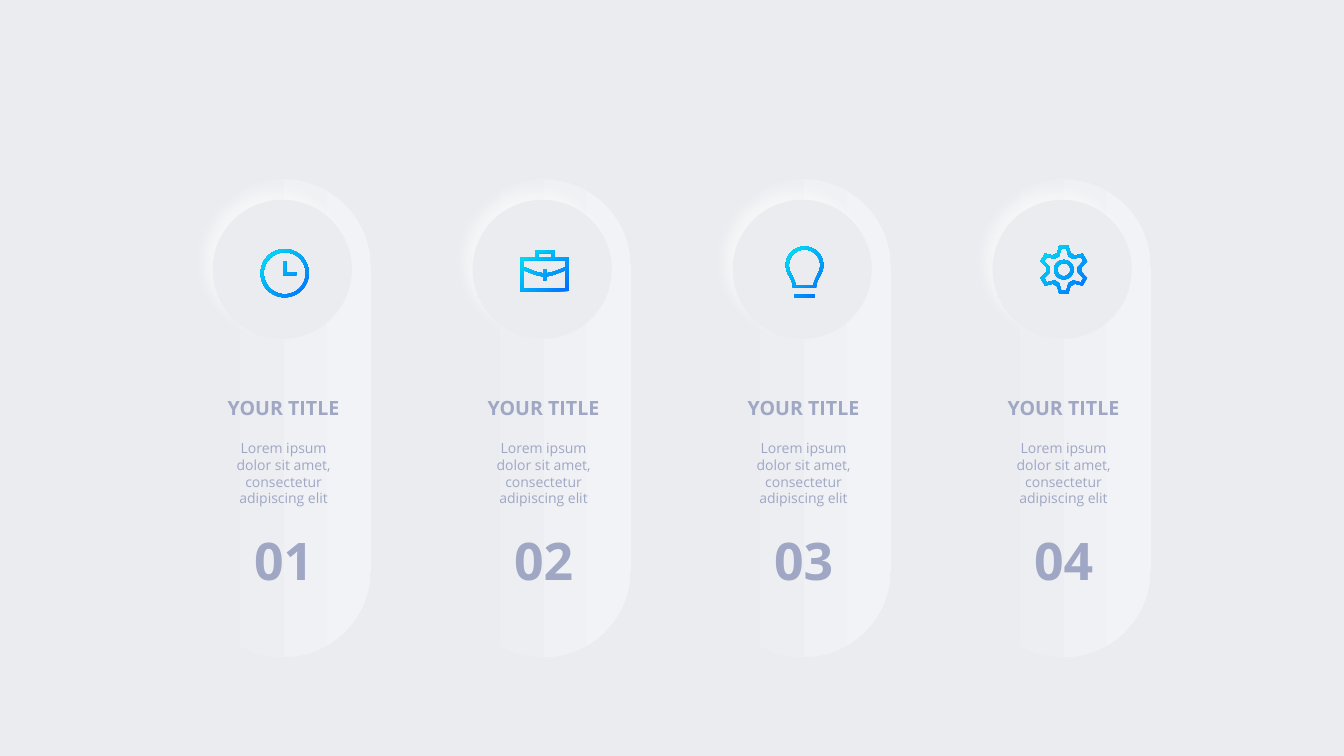
from dataclasses import dataclass
from math import cos, radians, sin

from lxml.etree import SubElement
from pptx import Presentation
from pptx.dml.color import RGBColor
from pptx.enum.shapes import MSO_SHAPE as Preset
from pptx.enum.text import MSO_AUTO_SIZE as AutoSize, PP_ALIGN as Align
from pptx.oxml.ns import qn
from pptx.util import Pt

Point = tuple[float, float]
Contour = list[Point]

# Colours
GREY = RGBColor(0xEB, 0xEC, 0xF0)
LIGHT = RGBColor(0xF2, 0xF3, 0xF6)
LAVENDER = RGBColor(0x9F, 0xA7, 0xC4)
BLUE = RGBColor(0x00, 0x6E, 0xFF)
CYAN = RGBColor(0x00, 0xE6, 0xF2)
WHITE = RGBColor(0xFF, 0xFF, 0xFF)

# Layout in points
FIRST_CENTER, PITCH = 201.6, 185.7
DISC_MIDDLE, DISC_SIZE = 192.4, 99.4
PILL_TOP, PILL_WIDTH, PILL_HEIGHT = 128.2, 124.6, 341.2
PILL_SHIFT = 1  # pill and texts sit this far right of the disc centre
GLOW = 9
STROKE = 2.2  # line thickness of the icons


@dataclass
class Column:
    number: str
    icon: list[Contour]
    icon_shift: Point  # icon centre from the disc centre
    title: str = "YOUR TITLE"
    body: str = "Lorem ipsum dolor sit amet, consectetur adipiscing elit"


# Outline rules: x and y run from the icon centre, y downwards
def arc(radius: float, start: int = 0, end: int = 360, middle: float = 0) -> Contour:
    return [(radius * cos(radians(angle)), middle + radius * sin(radians(angle)))
            for angle in range(start, end + 1, 6)]


def ring(radius: float) -> list[Contour]:
    return [arc(radius), arc(radius - STROKE)]


def mirrored(right_half: Contour) -> Contour:
    """Close a right half, listed from top to bottom, with its reflection."""
    return right_half + [(-x, y) for x, y in reversed(right_half)]


def toothed(right_flank: Contour) -> Contour:
    """Turn one tooth, given by its right flank, around the centre six times."""
    tooth = [(-x, y) for x, y in reversed(right_flank)] + right_flank
    turns = [radians(60 * step) for step in range(6)]
    return [(x * cos(turn) - y * sin(turn), x * sin(turn) + y * cos(turn))
            for turn in turns for x, y in tooth]


def bulb_glass(radius: float, right_neck: Contour) -> Contour:
    """A round top that narrows to a neck."""
    right_side = arc(radius, -90, 33, middle=-4.7) + right_neck
    return mirrored(right_side)


# Clock: a ring and two hands
HANDS = [(8.3, 1.4), (-1.1, 1.4), (-1.1, -8.6), (1.1, -8.6), (1.1, -0.8), (8.3, -0.8)]
CLOCK = ring(17.2) + [HANDS]

# Briefcase: the space between the two panels forms the flap and its clasp
FLAP_TOP = [(14.8, -2.5), (6.8, 0.6), (4, 1.4), (1.1, 1.8)]
FLAP_BOTTOM = [(x, y + STROKE) for x, y in FLAP_TOP]
CASE = mirrored([(6.9, -14.8), (6.9, -9.7), (17.3, -9.7), (17.3, 14.8)])
HANDLE_HOLE = mirrored([(4.7, -12.6), (4.7, -9.7)])
UPPER_PANEL = mirrored([(14.8, -7.6), *FLAP_TOP, (1.1, -1.1)])
LOWER_PANEL = mirrored([(1.1, 6.8), *reversed(FLAP_BOTTOM), (14.8, 12.6)])
BRIEFCASE = [CASE, HANDLE_HOLE, UPPER_PANEL, LOWER_PANEL]

# Bulb: outer glass, inner glass and a base
BULB_BASE = mirrored([(7.4, 16.2), (7.4, 16.2 + STROKE)])
BULB = [
    bulb_glass(13.4, [(9.1, 6.8), (8.3, 10), (8.3, 11.2)]),
    bulb_glass(13.4 - STROKE, [(7.5, 5.8), (6.1, 9.7)]),
    BULB_BASE,
]

# Gear: outer teeth, inner teeth and a hub
GEAR = [
    toothed([(3.2, -17.3), (4.7, -11.9)]),
    toothed([(1.8, -15.1), (3.4, -9.6)]),
    *ring(6.9),
]

COLUMNS = [
    Column("01", CLOCK, (1.8, 2.8)),
    Column("02", BRIEFCASE, (1.8, 1)),
    Column("03", BULB, (1.7, 1.8)),
    Column("04", GEAR, (1.2, 0.2)),
]


# Drawing
def paint_gradient(shape, start: RGBColor, end: RGBColor, angle: float) -> None:
    shape.shadow.inherit = False
    shape.line.fill.background()
    shape.fill.gradient()
    shape.fill.gradient_angle = angle
    for stop, position, color in zip(shape.fill.gradient_stops, (0, 1), (start, end)):
        stop.position = position
        stop.color.rgb = color


def add_pill(slide, center: float) -> None:
    pill = slide.shapes.add_shape(
        Preset.ROUNDED_RECTANGLE, Pt(center - PILL_WIDTH / 2), Pt(PILL_TOP),
        Pt(PILL_WIDTH), Pt(PILL_HEIGHT))
    pill.adjustments[0] = 0.5
    paint_gradient(pill, LIGHT, GREY, 180)


def add_disc(slide, center: float) -> None:
    radius = DISC_SIZE / 2
    disc = slide.shapes.add_shape(
        Preset.OVAL, Pt(center - radius), Pt(DISC_MIDDLE - radius),
        Pt(DISC_SIZE), Pt(DISC_SIZE))
    disc.fill.solid()
    disc.fill.fore_color.rgb = GREY
    disc.line.fill.background()
    # White glow towards the top left
    disc.shadow.inherit = False
    effects = disc.element.spPr.find(qn("a:effectLst"))
    glow = SubElement(effects, qn("a:outerShdw"), blurRad=str(Pt(GLOW)), dist=str(Pt(GLOW)),
                      dir=str(225 * 60000), algn="ctr", rotWithShape="0")
    glow_color = SubElement(glow, qn("a:srgbClr"), val=str(WHITE))
    SubElement(glow_color, qn("a:alpha"), val="56000")


def add_icon(slide, contours: list[Contour], center: float, middle: float) -> None:
    first, *others = [[(Pt(center + x), Pt(middle + y)) for x, y in contour]
                      for contour in contours]
    outline = slide.shapes.build_freeform(*first[0], scale=1)
    outline.add_line_segments(first[1:], close=True)
    for contour in others:
        outline.move_to(*contour[0])
        outline.add_line_segments(contour[1:], close=True)
    paint_gradient(outline.convert_to_shape(), BLUE, CYAN, 135)


def add_text(slide, text: str, *, center: float, top: float, width: float, height: float,
             size: float, bold: bool = False, wrap: bool = False,
             inset: Point = (0, 0)) -> None:
    box = slide.shapes.add_textbox(Pt(center - width / 2), Pt(top), Pt(width), Pt(height))
    frame = box.text_frame
    frame.word_wrap = wrap
    frame.auto_size = AutoSize.SHAPE_TO_FIT_TEXT
    frame.margin_left = frame.margin_right = Pt(inset[0])
    frame.margin_top = frame.margin_bottom = Pt(inset[1])
    paragraph = frame.paragraphs[0]
    paragraph.alignment = Align.CENTER
    run = paragraph.add_run()
    run.text = text
    run.font.name = "Open Sans"
    run.font.size = Pt(size)
    run.font.bold = bold
    run.font.color.rgb = LAVENDER


def add_column(slide, column: Column, disc_center: float) -> None:
    pill_center = disc_center + PILL_SHIFT
    shift_x, shift_y = column.icon_shift
    add_pill(slide, pill_center)
    add_text(slide, column.number, center=pill_center, top=378, width=42.5, height=44.6,
             size=37, bold=True)
    add_text(slide, column.title, center=pill_center, top=283, width=80.6, height=17.3,
             size=14, bold=True)
    add_disc(slide, disc_center)
    add_icon(slide, column.icon, disc_center + shift_x, DISC_MIDDLE + shift_y)
    add_text(slide, column.body, center=pill_center, top=310.3, width=84.2, height=55.4,
             size=10, wrap=True, inset=(7.2, 3.6))


def main() -> None:
    deck = Presentation()
    deck.slide_width, deck.slide_height = Pt(960), Pt(540)
    slide = deck.slides.add_slide(deck.slide_layouts[6])
    slide.background.fill.solid()
    slide.background.fill.fore_color.rgb = GREY
    for index, column in enumerate(COLUMNS):
        add_column(slide, column, FIRST_CENTER + index * PITCH)
    deck.save("out.pptx")


if __name__ == "__main__":
    main()
